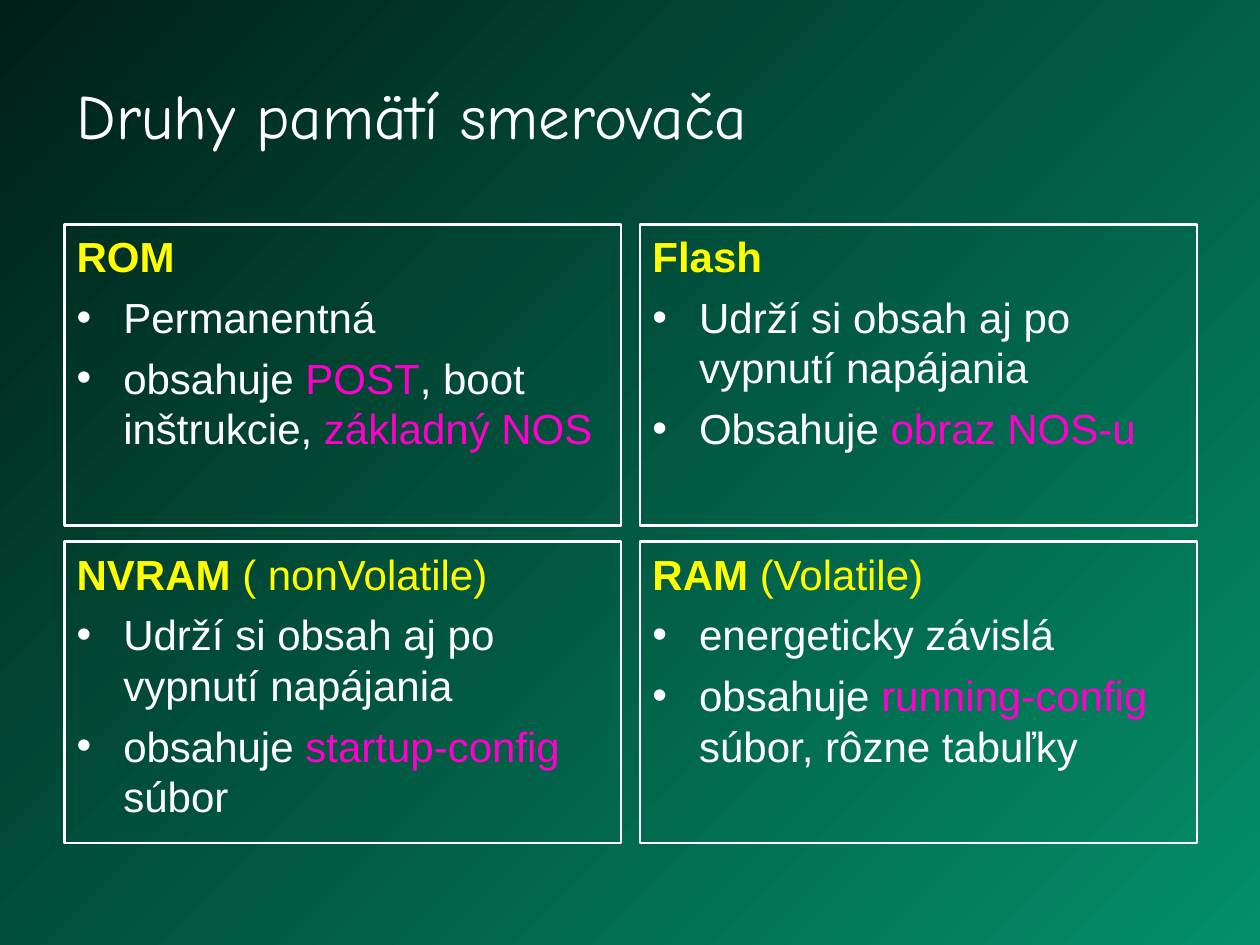
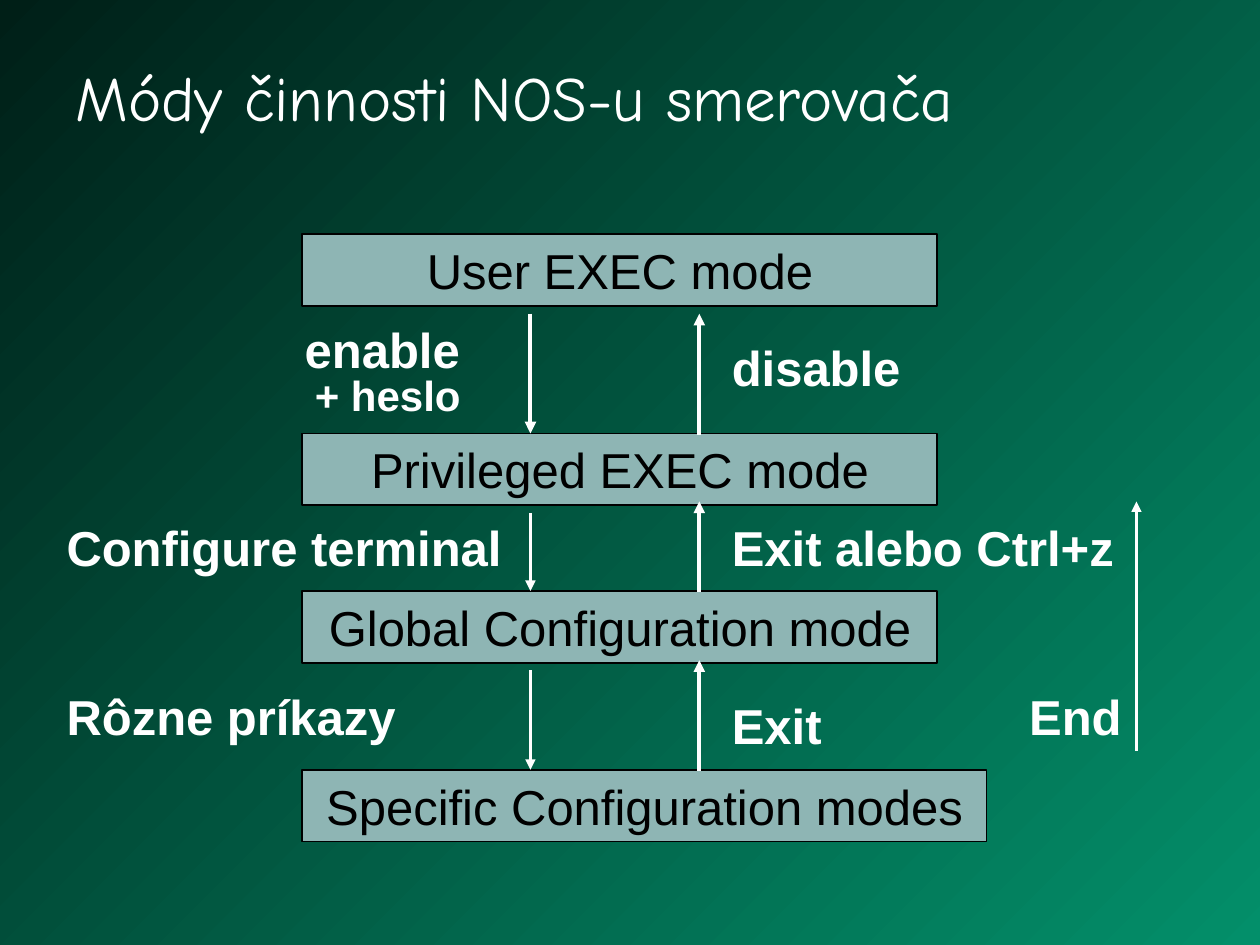
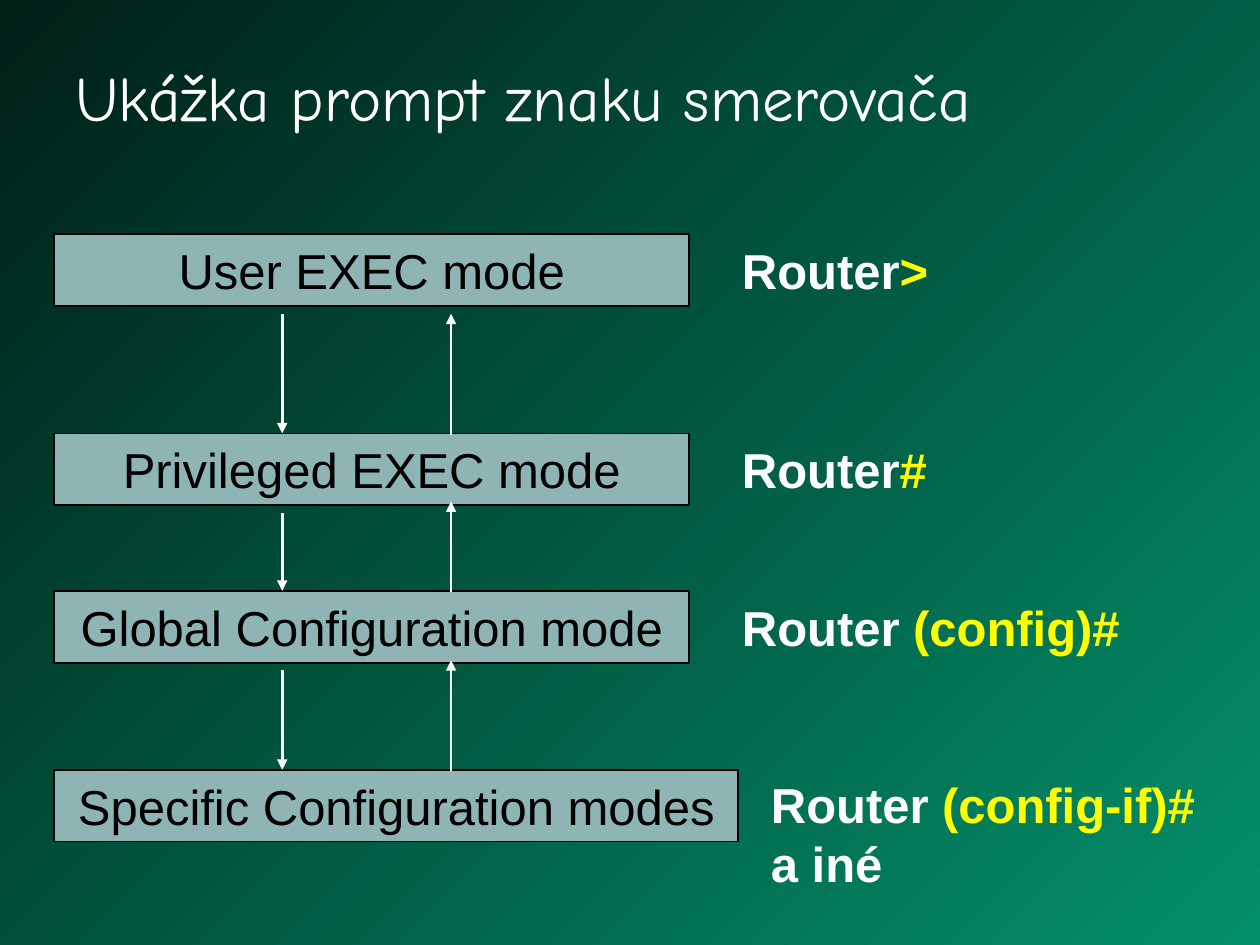
from lxml import etree
from pptx import Presentation
from pptx import util as u
from pptx.dml import color as dml
from pptx.enum import shapes, text
from pptx.oxml import ns

COLORS = {
    "dark": "001F17",
    "green": "038F6A",
    "white": "FFFFFF",
    "yellow": "FFFF00",
    "pink": "FF00CC",
    "box": "8EB5B4",
    "black": "000000",
}
TITLE_FONT = "Comic Neue"
BODY_FONT = "Arial"

PANEL_SIZE = (4.42, 2.39)
PANEL_LEFTS = (0.51, 5.08)
PANEL_TOPS = (1.78, 4.3)
PANELS = [
    (
        [("ROM", True)],
        [
            [("Permanentná", "white")],
            [("obsahuje ", "white"), ("POST", "pink"),
             (", boot inštrukcie, ", "white"), ("základný NOS", "pink")],
        ],
    ),
    (
        [("Flash", True)],
        [
            [("Udrží si obsah aj po vypnutí napájania", "white")],
            [("Obsahuje ", "white"), ("obraz NOS-u", "pink")],
        ],
    ),
    (
        [("NVRAM", True), (" ( nonVolatile)", False)],
        [
            [("Udrží si obsah aj po vypnutí napájania", "white")],
            [("obsahuje ", "white"), ("startup-config", "pink"), (" súbor", "white")],
        ],
    ),
    (
        [("RAM", True), (" (Volatile)", False)],
        [
            [("energeticky závislá", "white")],
            [("obsahuje ", "white"), ("running-config", "pink"),
             (" súbor, rôzne tabuľky", "white")],
        ],
    ),
]

MODES = [
    ("User EXEC mode", 1.86, 5.04),
    ("Privileged EXEC mode", 3.44, 5.04),
    ("Global Configuration mode", 4.69, 5.04),
    ("Specific Configuration modes", 6.11, 5.43),
]
MODE_HEIGHT = 0.57
DOWN_OFFSET, UP_OFFSET = 1.81, 3.15
UP_ENDS = (2.49, 3.98, 5.24)

COMMANDS = [
    ("enable", 2.32, 2.49, 1.89, 28),
    ("+ heslo", 2.4, 2.88, 2.05, 24),
    ("disable", 5.71, 2.63, 1.89, 28),
    ("Configure terminal", 0.43, 4.06, 3.7, 28),
    ("Exit alebo Ctrl+z", 5.71, 4.06, 3.62, 28),
    ("Rôzne príkazy", 0.43, 5.4, 3.15, 28),
    ("Exit", 5.71, 5.47, 1.02, 28),
    ("End", 8.07, 5.4, 1.02, 28),
]

PROMPTS = [
    ("Router", ">", 5.79, 1.86, 1.89),
    ("Router", "#", 5.79, 3.44, 1.89),
    ("Router ", "(config)#", 5.79, 4.69, 3.31),
    ("Router ", "(config-if)#", 6.02, 6.1, 3.62),
]


def rgb(name):
    return dml.RGBColor.from_string(COLORS[name])


def inches(*lengths):
    return [u.Inches(length) for length in lengths]


def add_run(paragraph, words, color, size, bold=False, font=BODY_FONT):
    run = paragraph.add_run()
    run.text = words
    run.font.name = font
    run.font.size = u.Pt(size)
    run.font.bold = bold
    run.font.color.rgb = rgb(color)


def add_text(slide, left, top, width, height):
    text_frame = slide.shapes.add_textbox(*inches(left, top, width, height)).text_frame
    text_frame.word_wrap = True
    return text_frame


def add_slide(presentation, title, left=0.5, top=0.3, height=0.93):
    slide = presentation.slides.add_slide(presentation.slide_layouts[6])
    fill = slide.background.fill
    fill.gradient()
    fill.gradient_angle = 315
    for stop, name in zip(fill.gradient_stops, ("dark", "green")):
        stop.color.rgb = rgb(name)
    text_frame = add_text(slide, left, top, 9, height)
    text_frame.vertical_anchor = text.MSO_ANCHOR.MIDDLE
    add_run(text_frame.paragraphs[0], title, "white", 36, font=TITLE_FONT)
    return slide


def add_box(slide, left, top, width, height, line, line_width, fill=None):
    shape = slide.shapes.add_shape(
        shapes.MSO_SHAPE.RECTANGLE, *inches(left, top, width, height))
    shape.shadow.inherit = False
    shape.line.color.rgb = rgb(line)
    shape.line.width = u.Pt(line_width)
    if fill:
        shape.fill.solid()
        shape.fill.fore_color.rgb = rgb(fill)
    else:
        shape.fill.background()
    shape.text_frame.word_wrap = True
    shape.text_frame.vertical_anchor = text.MSO_ANCHOR.TOP
    return shape.text_frame


def format_item(paragraph, bullet=False):
    paragraph.alignment = text.PP_ALIGN.LEFT
    paragraph.space_before = u.Pt(6)
    properties = paragraph._p.get_or_add_pPr()
    properties.set("marL", str(u.Inches(0.37)))
    properties.set("indent", str(-u.Inches(0.37)))
    if bullet:
        color = etree.SubElement(properties, ns.qn("a:buClr"))
        etree.SubElement(color, ns.qn("a:srgbClr"), val=COLORS["white"])
        etree.SubElement(properties, ns.qn("a:buFont"), typeface=BODY_FONT)
        etree.SubElement(properties, ns.qn("a:buChar"), char="•")


def add_panel(slide, left, top, heading, items):
    text_frame = add_box(slide, left, top, *PANEL_SIZE, "white", 1.5)
    paragraph = text_frame.paragraphs[0]
    format_item(paragraph)
    for words, bold in heading:
        add_run(paragraph, words, "yellow", 24, bold)
    for item in items:
        paragraph = text_frame.add_paragraph()
        format_item(paragraph, bullet=True)
        for words, color in item:
            add_run(paragraph, words, color, 24)


def add_arrow(slide, x, start, end, width):
    connector = slide.shapes.add_connector(
        shapes.MSO_CONNECTOR.STRAIGHT, *inches(x, start, x, end))
    connector.line.color.rgb = rgb("white")
    connector.line.width = u.Pt(width)
    etree.SubElement(connector.line._get_or_add_ln(), ns.qn("a:tailEnd"), type="triangle")
    etree.SubElement(connector._element.spPr, ns.qn("a:effectLst"))


def add_modes(slide, left, down_widths, up_width):
    for name, top, width in MODES:
        text_frame = add_box(slide, left, top, width, MODE_HEIGHT, "black", 1, "box")
        paragraph = text_frame.paragraphs[0]
        paragraph.alignment = text.PP_ALIGN.CENTER
        add_run(paragraph, name, "black", 28)
    tops = [top for _, top, _ in MODES]
    for upper, lower, up_end, down_width in zip(tops, tops[1:], UP_ENDS, down_widths):
        add_arrow(slide, left + DOWN_OFFSET, upper + 0.63, lower, down_width)
        add_arrow(slide, left + UP_OFFSET, lower + 0.01, up_end, up_width)


def build_memory_slide(presentation):
    slide = add_slide(presentation, "Druhy pamätí smerovača", 0.51, 0.28, 1.25)
    for index, (heading, items) in enumerate(PANELS):
        row, column = divmod(index, 2)
        add_panel(slide, PANEL_LEFTS[column], PANEL_TOPS[row], heading, items)


def build_modes_slide(presentation):
    slide = add_slide(presentation, "Módy činnosti NOS-u smerovača")
    add_modes(slide, 2.4, (2.25, 1.5, 1.5), 2.25)
    for command, left, top, width, size in COMMANDS:
        text_frame = add_text(slide, left, top, width, MODE_HEIGHT)
        add_run(text_frame.paragraphs[0], command, "white", size, True)
    add_arrow(slide, 9.02, 5.96, 3.98, 1.5)


def build_prompt_slide(presentation):
    slide = add_slide(presentation, "Ukážka prompt znaku smerovača")
    add_modes(slide, 0.43, (1.5, 1.5, 1.5), 1.5)
    for host, sign, left, top, width in PROMPTS:
        paragraph = add_text(slide, left, top, width, MODE_HEIGHT).paragraphs[0]
        add_run(paragraph, host, "white", 28, True)
        add_run(paragraph, sign, "yellow", 28, True)
    paragraph.add_line_break()
    add_run(paragraph, "a iné", "white", 28, True)


def main():
    presentation = Presentation()
    presentation.slide_width, presentation.slide_height = inches(10, 7.5)
    build_memory_slide(presentation)
    build_modes_slide(presentation)
    build_prompt_slide(presentation)
    presentation.save("out.pptx")


if __name__ == "__main__":
    main()
